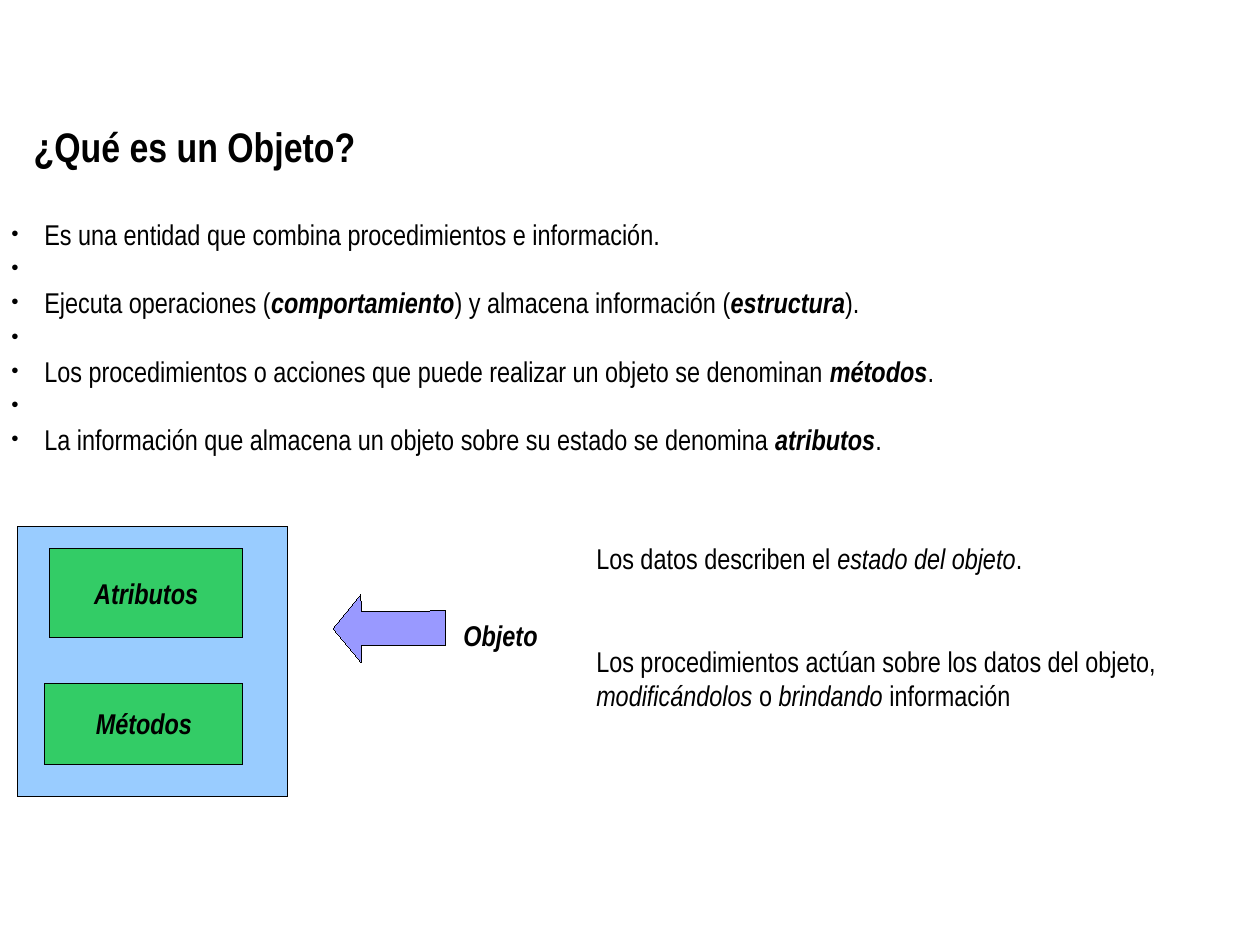
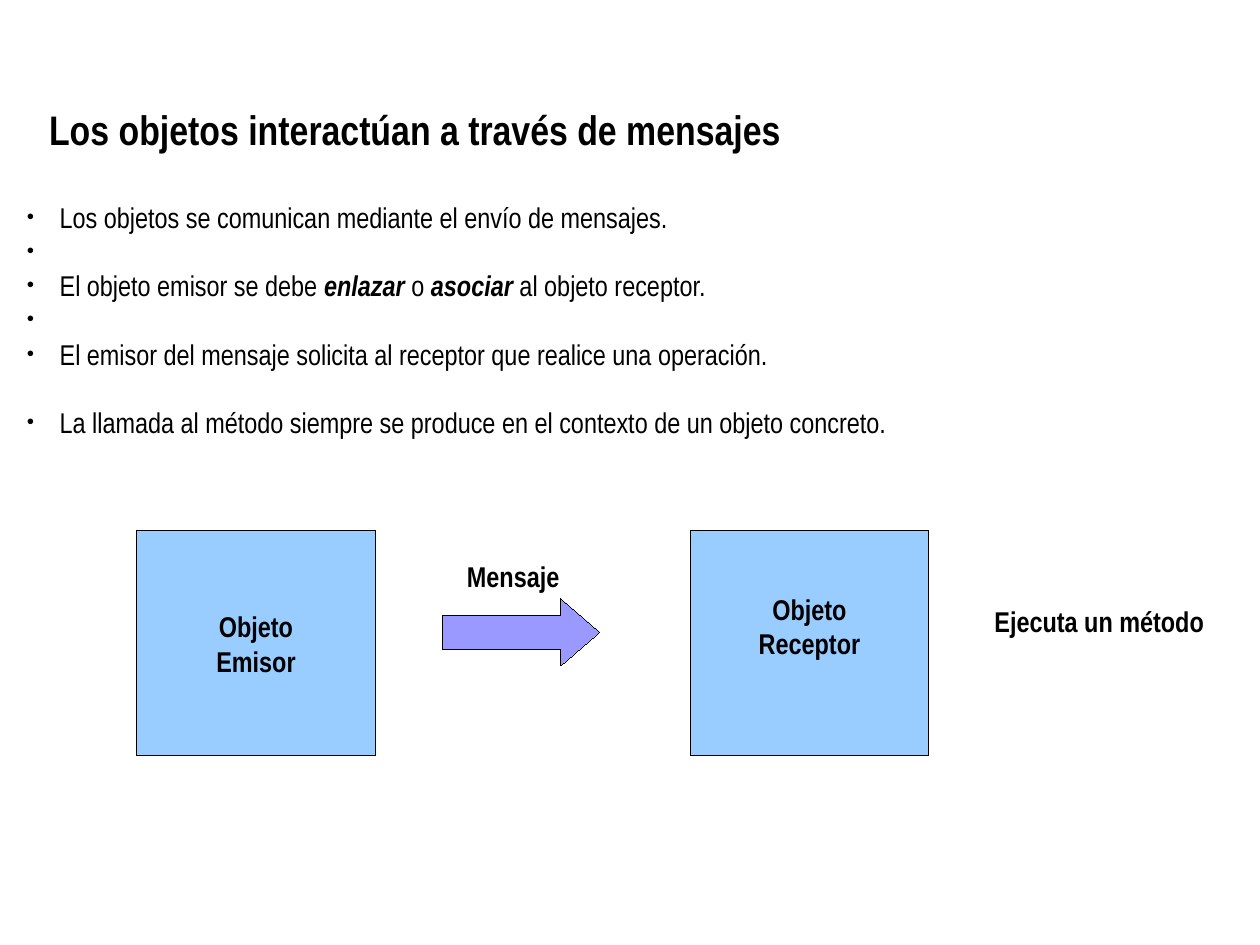
from lxml.etree import SubElement
from pptx import Presentation
from pptx.dml.color import RGBColor
from pptx.enum.shapes import MSO_SHAPE as Shape
from pptx.enum.text import MSO_ANCHOR as Anchor, MSO_AUTO_SIZE as AutoSize, PP_ALIGN as Align
from pptx.oxml.ns import qn
from pptx.util import Emu, Inches, Pt

COLORS = {"text": "000000", "line": "000000", "object": "99CCFF",
          "member": "33CC66", "arrow": "9999FF"}
FONT = "Arial Narrow"
COLUMNS, ROWS = 28, 21
WIDTH, HEIGHT = Pt(793.75), Pt(595.25)
TITLE_SIZE, BODY_SIZE = 26, 18
LINE_GAP = 21.6
BULLET_INDENT = Inches(0.29)
HAIRLINE = Emu(1)


def color(name):
    return RGBColor.from_string(COLORS[name])


def add_bullet(paragraph):
    properties = paragraph._p.get_or_add_pPr()
    properties.set("marL", str(BULLET_INDENT))
    properties.set("indent", str(-BULLET_INDENT))
    bullet_color = SubElement(properties, qn("a:buClr"))
    SubElement(bullet_color, qn("a:srgbClr"), val=COLORS["text"])
    SubElement(properties, qn("a:buSzPct"), val="45000")
    SubElement(properties, qn("a:buFont"), typeface=FONT)
    SubElement(properties, qn("a:buChar"), char="●")


def write_text(frame, lines, size=BODY_SIZE, bold=False, italic=False,
               strong=False, align=Align.LEFT, bullets=False, gaps=()):
    """Text between asterisks is italic, and also bold when strong is set."""
    for index, line in enumerate(lines):
        paragraph = frame.add_paragraph() if index else frame.paragraphs[0]
        paragraph.alignment = align
        if index in gaps:
            paragraph.space_before = Pt(gaps[index])
        if bullets:
            add_bullet(paragraph)
        for part, text in enumerate(line.split("*")):
            emphasis = part % 2 == 1
            run = paragraph.add_run()
            run.text = text
            run.font.name = FONT
            run.font.size = Pt(size)
            run.font.color.rgb = color("text")
            run.font.bold = bold or (emphasis and strong)
            run.font.italic = italic or emphasis


class Deck:
    def __init__(self):
        self.presentation = Presentation()
        self.presentation.slide_width = WIDTH
        self.presentation.slide_height = HEIGHT
        self.slide = None

    def new_slide(self):
        self.slide = self.presentation.slides.add_slide(self.presentation.slide_layouts[6])

    def place(self, column, row, columns, rows):
        across, down = WIDTH / COLUMNS, HEIGHT / ROWS
        return (round(column * across), round(row * down),
                round(columns * across), round(rows * down))

    def text(self, area, lines, **style):
        frame = self.slide.shapes.add_textbox(*self.place(*area)).text_frame
        frame.word_wrap = True
        frame.auto_size = AutoSize.SHAPE_TO_FIT_TEXT
        write_text(frame, lines, **style)

    def title(self, column, row, text):
        self.text((column, row, 27, 1.32), [text], size=TITLE_SIZE, bold=True)

    def bullets(self, column, row, lines, **style):
        self.text((column, row, 28, 5.42), lines, bullets=True, strong=True, **style)

    def shape(self, kind, area, fill):
        shape = self.slide.shapes.add_shape(kind, *self.place(*area))
        shape.shadow.inherit = False
        shape.fill.solid()
        shape.fill.fore_color.rgb = color(fill)
        shape.line.color.rgb = color("line")
        shape.line.width = HAIRLINE
        return shape

    def box(self, area, fill, lines=(), lift=0, **style):
        frame = self.shape(Shape.RECTANGLE, area, fill).text_frame
        frame.word_wrap = False
        frame.vertical_anchor = Anchor.MIDDLE
        frame.margin_bottom = Inches(0.05) + Pt(lift)
        write_text(frame, lines, bold=True, align=Align.CENTER, **style)

    def arrow(self, area, head, rotation=0):
        arrow = self.shape(Shape.RIGHT_ARROW, area, "arrow")
        arrow.adjustments[1] = head
        arrow.rotation = rotation


def object_slide(deck):
    deck.new_slide()
    deck.title(0.5, 2.58, "¿Qué es un Objeto?")
    deck.bullets(0, 4.69, [
        "Es una entidad que combina procedimientos e información.",
        " ",
        "Ejecuta operaciones (*comportamiento*) y almacena información (*estructura*).",
        " ",
        "Los procedimientos o acciones que puede realizar un objeto se denominan *métodos*.",
        " ",
        "La información que almacena un objeto sobre su estado se denomina *atributos*.",
    ])
    deck.box((0.4, 11.7, 6, 6), "object")
    deck.box((1.1, 12.18, 4.3, 2), "member", ["Atributos"], italic=True)
    deck.arrow((7.4, 13.2, 2.5, 1.52), 0.41, rotation=179.8)
    deck.box((1, 15.18, 4.4, 1.8), "member", ["Métodos"], italic=True)
    deck.text((10.05, 13.6, 3.35, 1), ["Objeto"], bold=True, italic=True)
    deck.text((13, 11.89, 14.5, 4.5), [
        "Los datos describen el *estado del objeto*.",
        "Los procedimientos actúan sobre los datos del objeto, "
        "*modificándolos* o *brindando* información",
    ], gaps={1: 2 * LINE_GAP})


def message_slide(deck):
    deck.new_slide()
    deck.title(0.84, 2.19, "Los objetos interactúan a través de mensajes")
    deck.bullets(0.34, 4.31, [
        "Los objetos se comunican mediante el envío de mensajes.",
        " ",
        "El objeto emisor se debe *enlazar* o *asociar* al objeto receptor.",
        " ",
        "El emisor del mensaje solicita al receptor que realice una operación.",
        "La llamada al método siempre se produce en el contexto de un objeto concreto.",
    ], gaps={5: LINE_GAP})
    for column, role, lift in ((3.04, "Emisor", 0), (15.34, "Receptor", LINE_GAP)):
        deck.box((column, 11.8, 5.3, 5), "object", ["Objeto", role], lift=lift)
    deck.arrow((9.83, 13.3, 3.5, 1.5), 0.58)
    for area, label in (((9.48, 12.3, 3.85, 1), "Mensaje"),
                        ((20.83, 13.3, 7.2, 1), "Ejecuta un método")):
        deck.text(area, [label], bold=True, align=Align.CENTER)


def main():
    deck = Deck()
    object_slide(deck)
    message_slide(deck)
    deck.presentation.save("out.pptx")


if __name__ == "__main__":
    main()
